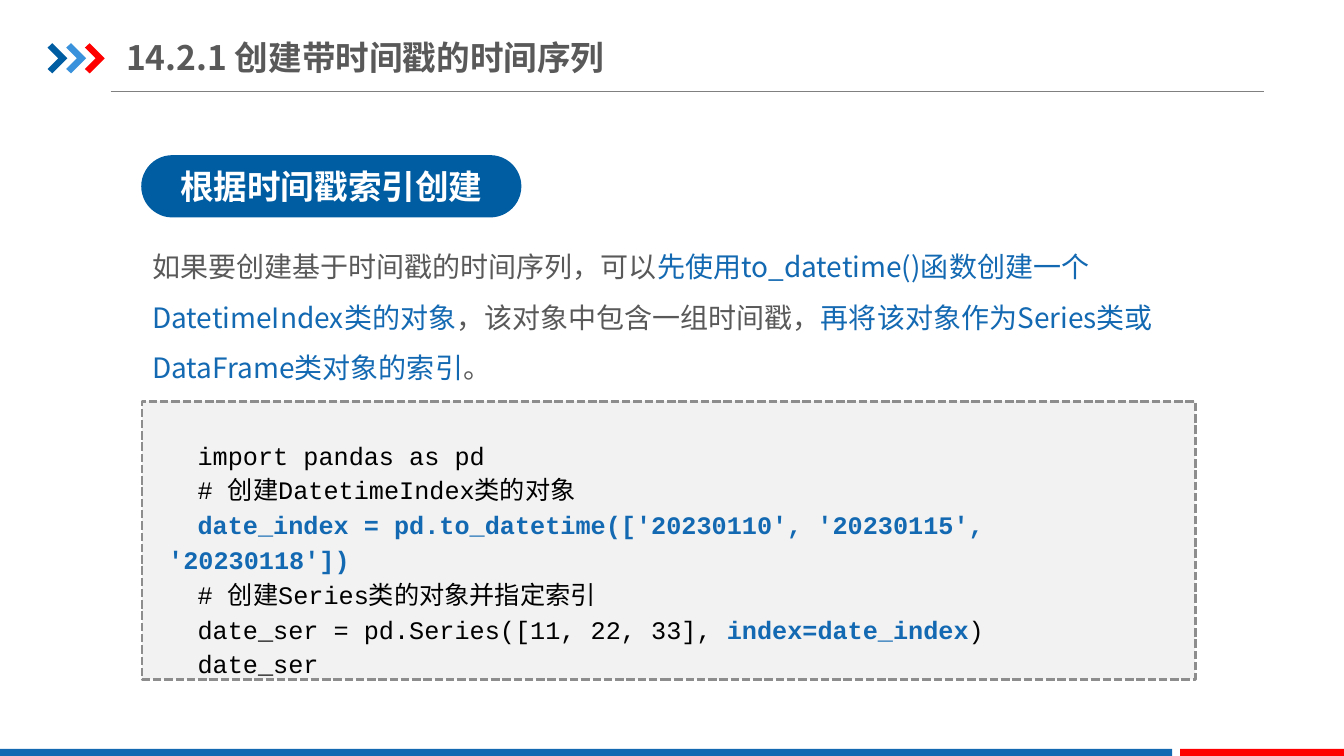
import pptx
import pptx.dml.color
import pptx.enum.dml
import pptx.enum.shapes
import pptx.enum.text
import pptx.oxml.ns
import pptx.util
from pptx.util import Cm

RGBColor = pptx.dml.color.RGBColor
NAVY = RGBColor(0x00, 0x5D, 0xA2)
SKY = RGBColor(0x39, 0x92, 0xDB)
BLUE = RGBColor(0x13, 0x69, 0xB2)
RED = RGBColor(0xFF, 0x00, 0x00)
WHITE = RGBColor(0xFF, 0xFF, 0xFF)
BLACK = RGBColor(0x00, 0x00, 0x00)
TEXT_GRAY = RGBColor(0x59, 0x59, 0x59)
RULE_GRAY = RGBColor(0x80, 0x80, 0x80)
DASH_GRAY = RGBColor(0x8D, 0x8D, 0x8D)
PANEL_GRAY = RGBColor(0xF2, 0xF2, 0xF2)
SANS = "Noto Sans CJK SC"
MONO = "Courier New"
SHAPE = pptx.enum.shapes.MSO_SHAPE
ALIGN = pptx.enum.text.PP_ALIGN
ANCHOR = pptx.enum.text.MSO_ANCHOR
AUTO_SIZE = pptx.enum.text.MSO_AUTO_SIZE


def add_run(paragraph, text, size, color, bold=False, face=SANS):
    """Add a run with its Latin face and the sans face for Chinese."""
    run = paragraph.add_run()
    run.text = text
    run.font.size = pptx.util.Pt(size)
    run.font.bold = bold
    run.font.color.rgb = color
    run.font.name = face
    east_asian = run.font._element.makeelement(pptx.oxml.ns.qn("a:ea"), {"typeface": SANS})
    run.font._element.find(pptx.oxml.ns.qn("a:latin")).addnext(east_asian)


def paint(shape, color):
    shape.shadow.inherit = False
    shape.fill.solid()
    shape.fill.fore_color.rgb = color
    shape.line.fill.background()


deck = pptx.Presentation()
deck.slide_width, deck.slide_height = Cm(33.87), Cm(19.05)
slide = deck.slides.add_slide(deck.slide_layouts[1])
shapes = slide.shapes

# Header rule, chevrons and footer bars
header_rule = shapes.add_connector(
    pptx.enum.shapes.MSO_CONNECTOR.STRAIGHT, Cm(2.79), Cm(2.31), Cm(31.85), Cm(2.31))
header_rule.line.color.rgb = RULE_GRAY
header_rule.line.width = pptx.util.Pt(0.75)
header_rule._element.spPr.append(
    header_rule._element.makeelement(pptx.oxml.ns.qn("a:effectLst"), {}))

CHEVRON = [(0, 0.11), (0.12, 0), (0.5, 0.38), (0.12, 0.76), (0, 0.65), (0.27, 0.38)]
for index, color in enumerate((NAVY, SKY, RED)):
    corners = [(Cm(1.2 + 0.47 * index + x), Cm(1.09 + y)) for x, y in CHEVRON]
    outline = shapes.build_freeform(*corners[0])
    outline.add_line_segments(corners[1:], close=True)
    paint(outline.convert_to_shape(), color)

for left, width, color in ((0, 29.54, BLUE), (29.74, 4.13, RED)):
    paint(shapes.add_shape(SHAPE.RECTANGLE, Cm(left), Cm(18.87), Cm(width), Cm(0.23)), color)

# Title
title = shapes.title
title.left, title.top, title.width, title.height = Cm(3.18), Cm(0.74), Cm(12.95), Cm(1.4)
title_frame = title.text_frame
title_frame.auto_size = AUTO_SIZE.NONE
title_frame.vertical_anchor = ANCHOR.MIDDLE
title_frame.margin_left = title_frame.margin_right = 0
title_frame.margin_top = title_frame.margin_bottom = Cm(0.18)
title_frame.paragraphs[0].alignment = ALIGN.LEFT
add_run(title_frame.paragraphs[0], "14.2.1 创建带时间戳的时间序列", 24, TEXT_GRAY, True)

# Section heading
heading = shapes.add_shape(SHAPE.ROUNDED_RECTANGLE, Cm(3.56), Cm(3.91), Cm(9.58), Cm(1.57))
heading.adjustments[0] = 0.5
paint(heading, NAVY)
heading.text_frame.vertical_anchor = ANCHOR.MIDDLE
heading.text_frame.paragraphs[0].alignment = ALIGN.CENTER
add_run(heading.text_frame.paragraphs[0], "根据时间戳索引创建", 24, WHITE, True)

# Explanation
body = slide.placeholders[1]
body.left, body.top, body.width, body.height = Cm(3.58), Cm(5.74), Cm(26.54), Cm(4.11)
body.text_frame.auto_size = AUTO_SIZE.NONE
explanation = body.text_frame.paragraphs[0]
properties = explanation._p.get_or_add_pPr()
properties.set("marL", "0")
properties.set("indent", "0")
properties.append(properties.makeelement(pptx.oxml.ns.qn("a:buNone"), {}))
explanation.line_spacing = 1.5
explanation.space_before = 0
for text, color in (
    ("如果要创建基于时间戳的时间序列，可以", TEXT_GRAY),
    ("先使用to_datetime()函数创建一个DatetimeIndex类的对象", BLUE),
    ("，该对象中包含一组时间戳，", TEXT_GRAY),
    ("再将该对象作为Series类或DataFrame类对象的索引", BLUE),
    ("。", TEXT_GRAY),
):
    add_run(explanation, text, 20, color)

# Code panel
panel = shapes.add_shape(SHAPE.RECTANGLE, Cm(3.58), Cm(10.11), Cm(26.54), Cm(7.01))
paint(panel, PANEL_GRAY)
panel.line.color.rgb = DASH_GRAY
panel.line.width = pptx.util.Pt(2)
panel.line.dash_style = pptx.enum.dml.MSO_LINE.SQUARE_DOT

# Each line is a list of (text, highlighted) pieces
CODE = [
    [("import pandas as pd", False)],
    [("# 创建DatetimeIndex类的对象", False)],
    [("date_index = pd.to_datetime(['20230110', '20230115', '20230118'])", True)],
    [("# 创建Series类的对象并指定索引", False)],
    [("date_ser = pd.Series([11, 22, 33], ", False), ("index=date_index", True), (")", False)],
    [("date_ser", False)],
]
code_frame = shapes.add_textbox(Cm(3.99), Cm(10.85), Cm(25.76), Cm(5.56)).text_frame
code_frame.word_wrap = True
for number, pieces in enumerate(CODE):
    line = code_frame.add_paragraph() if number else code_frame.paragraphs[0]
    line._p.get_or_add_pPr().set("indent", str(Cm(0.74)))
    line.line_spacing = 1.15
    for text, highlighted in pieces:
        add_run(line, text, 18, BLUE if highlighted else BLACK, highlighted, MONO)

deck.save("out.pptx")
